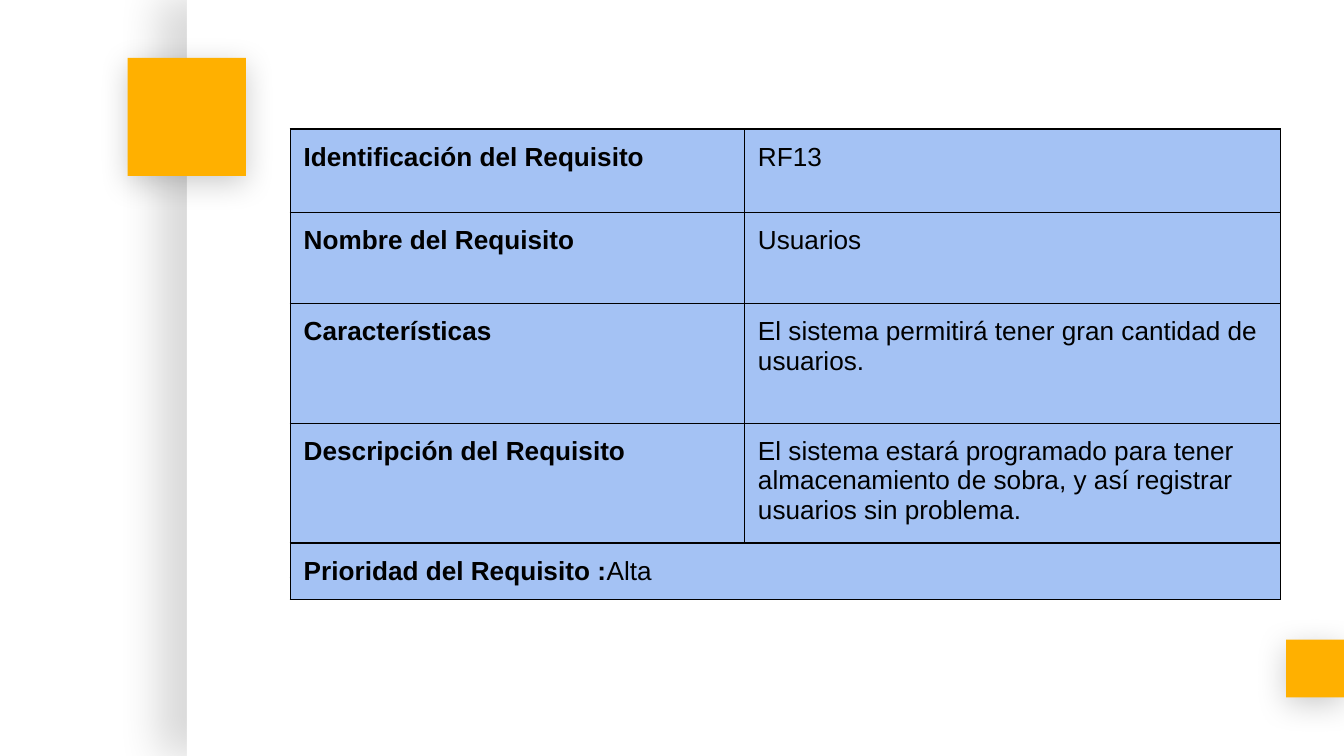
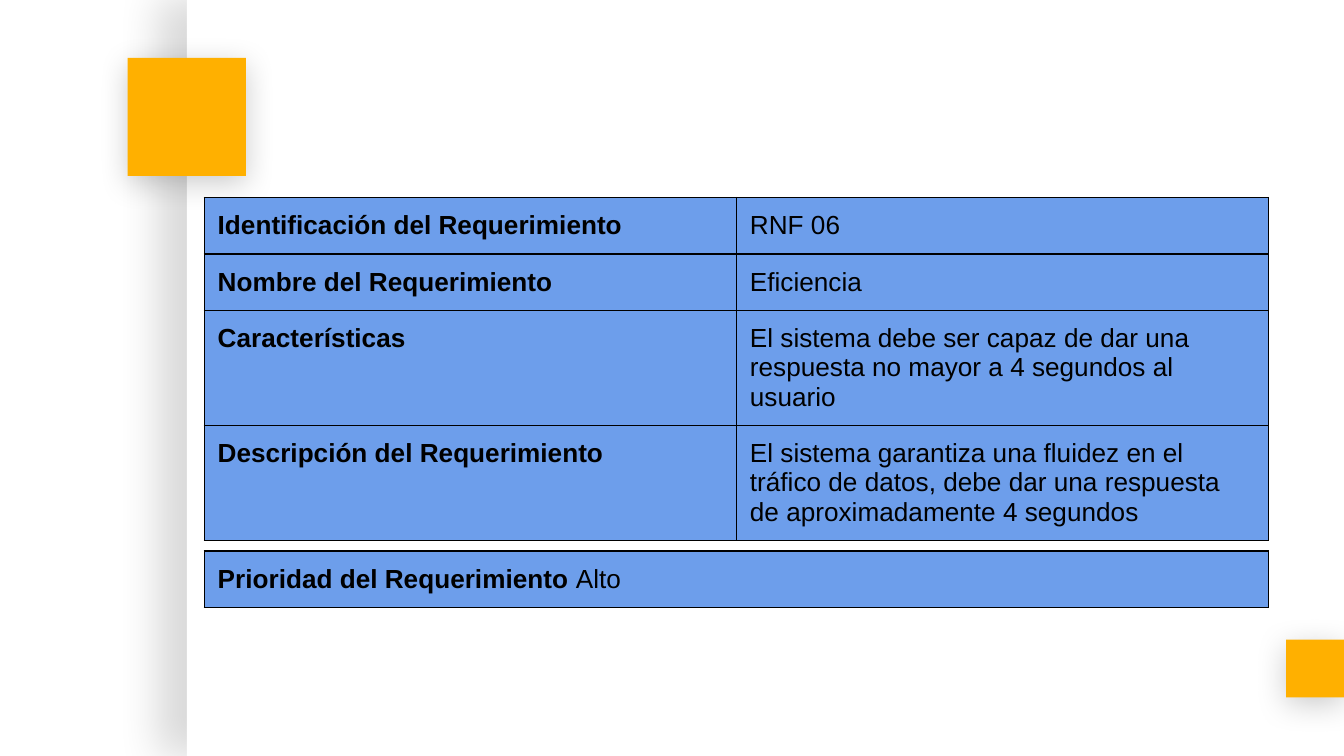
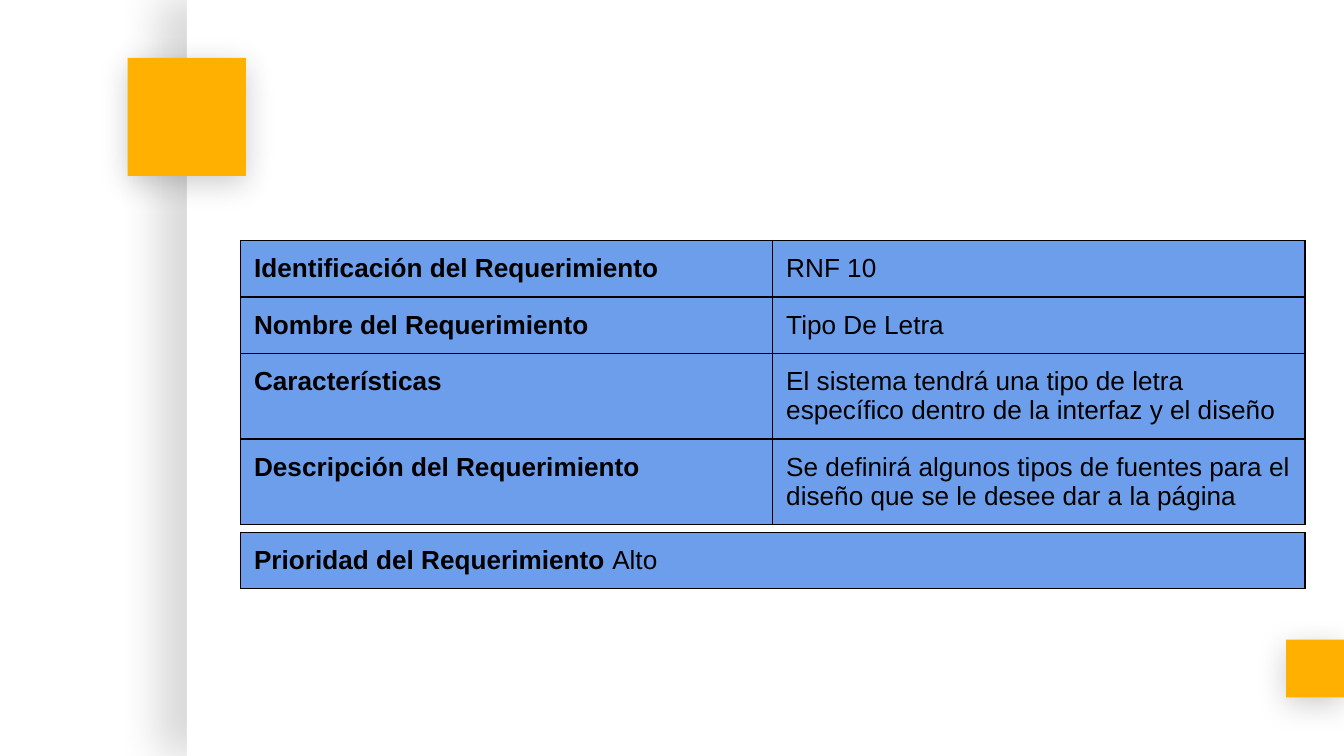
from dataclasses import dataclass

from lxml import etree
from pptx import Presentation
from pptx.dml.color import RGBColor
from pptx.enum.shapes import MSO_SHAPE
from pptx.oxml.ns import qn
from pptx.util import Inches, Pt

RECT = MSO_SHAPE.RECTANGLE
BLANK_LAYOUT = 6
SLIDE_W = 10
SLIDE_H = SLIDE_W * 9 / 16


@dataclass(frozen=True)
class Theme:
    paper: str = "FFFFFF"
    accent: str = "FFB000"
    ink: str = "000000"
    functional: str = "A4C2F4"
    nonfunctional: str = "6D9EEB"
    font: str = "Arial"
    size: float = 14
    border: float = 0.75
    inset: float = 0.1
    # opacity %, blur pt, distance pt, direction in degrees
    panel_shadow: tuple = (15, 22.5, 15, 180)
    square_shadow: tuple = (20, 16.9, 3.8, 90)


def add_color(parent, color, opacity=100):
    clr = etree.SubElement(parent, qn("a:srgbClr"), val=color)
    if opacity < 100:
        etree.SubElement(clr, qn("a:alpha"), val=str(opacity * 1000))


class Deck:
    def __init__(self, theme):
        self.theme = theme
        self.prs = Presentation()
        self.prs.slide_width = Inches(SLIDE_W)
        self.prs.slide_height = Inches(SLIDE_H)
        self.layout = self.prs.slide_layouts[BLANK_LAYOUT]
        self.s = None

    def new_slide(self):
        self.s = self.prs.slides.add_slide(self.layout)

    def decorate_layout(self):
        """Move the shared panel and squares from the current slide to its layout."""
        t = self.theme
        for ph in list(self.layout.placeholders):
            ph.element.getparent().remove(ph.element)
        for box, color, shadow in (
            ((1.39, 0, SLIDE_W - 1.39, SLIDE_H), t.paper, t.panel_shadow),
            ((9.57, 4.76, 0.43, 0.43), t.accent, t.square_shadow),
            ((0.95, 0.43, 0.88, 0.88), t.accent, t.square_shadow),
        ):
            sp = self.rect(box, color, shadow)
            self.layout.shapes.element.append(sp.element)

    def rect(self, box, color, shadow):
        sp = self.s.shapes.add_shape(RECT, *map(Inches, box))
        sp.fill.solid()
        sp.fill.fore_color.rgb = RGBColor.from_string(color)
        sp.line.fill.background()
        sp.shadow.inherit = False
        opacity, blur, dist, angle = shadow
        effects = sp.element.spPr.find(qn("a:effectLst"))
        outer = etree.SubElement(
            effects, qn("a:outerShdw"), blurRad=str(Pt(blur)), dist=str(Pt(dist)),
            dir=str(angle * 60000), algn="bl", rotWithShape="0")
        add_color(outer, self.theme.ink, opacity)
        return sp

    def table(self, left, top, cols, heights, rows, fill):
        """Each cell is a list of (text, bold) runs."""
        frame = self.s.shapes.add_table(
            len(rows), len(cols), Inches(left), Inches(top),
            Inches(sum(cols)), Inches(sum(heights)))
        tbl = frame.table
        tbl.first_row = tbl.horz_banding = False
        for column, width in zip(tbl.columns, cols):
            column.width = Inches(width)
        for row, height, contents in zip(tbl.rows, heights, rows):
            row.height = Inches(height)
            for cell, runs in zip(row.cells, contents):
                self.cell(cell, runs, fill)

    def cell(self, cell, runs, fill):
        t = self.theme
        cell.fill.solid()
        cell.fill.fore_color.rgb = RGBColor.from_string(fill)
        cell.margin_left = cell.margin_right = Inches(t.inset)
        cell.margin_top = cell.margin_bottom = Inches(t.inset)
        tcPr = cell._tc.get_or_add_tcPr()
        for i, side in enumerate("LRTB"):
            ln = etree.Element(qn(f"a:ln{side}"), w=str(Pt(t.border)))
            add_color(etree.SubElement(ln, qn("a:solidFill")), t.ink)
            tcPr.insert(i, ln)
        p = cell.text_frame.paragraphs[0]
        for text, bold in runs:
            r = p.add_run()
            r.text = text
            r.font.name, r.font.size, r.font.bold = t.font, Pt(t.size), bold
            r.font.color.rgb = RGBColor.from_string(t.ink)

    def requirement(self, noun, left, top, cols, heights, values,
                    priority, priority_top, priority_height, fill):
        """Sheet of four labelled rows with a separate full-width priority row."""
        labels = (f"Identificación del {noun}", f"Nombre del {noun}",
                  "Características", f"Descripción del {noun}")
        rows = [([(label, True)], [(value, False)])
                for label, value in zip(labels, values)]
        self.table(left, top, cols, heights, rows, fill)
        label, value = priority
        runs = [(f"Prioridad del {noun} {label}", True), (value, False)]
        self.table(left, priority_top, [sum(cols)], [priority_height], [[runs]], fill)

    def nonfunctional(self, left, top, priority_top, values):
        self.requirement("Requerimiento", left, top, (3.96, 3.96), (0.42,) * 4, values,
                         ("", "Alto"), priority_top, 0.42, self.theme.nonfunctional)


def main():
    theme = Theme()
    deck = Deck(theme)

    deck.new_slide()
    deck.decorate_layout()
    deck.requirement(
        "Requisito", 2.16, 0.96, (3.38, 3.99), (0.62, 0.68, 0.89, 1.15),
        ("RF13", "Usuarios",
         "El sistema permitirá tener gran cantidad de usuarios.",
         "El sistema estará programado para tener almacenamiento de sobra, "
         "y así registrar usuarios sin problema."),
        (":", "Alta"), 4.04, 0.37, theme.functional)

    deck.new_slide()
    deck.nonfunctional(1.52, 1.47, 4.1, (
        "RNF 06", "Eficiencia",
        "El sistema debe ser capaz de dar una respuesta no mayor a 4 segundos al usuario",
        "El sistema garantiza una fluidez en el tráfico de datos, "
        "debe dar una respuesta de aproximadamente 4 segundos"))

    deck.new_slide()
    deck.nonfunctional(1.79, 1.79, 3.96, (
        "RNF 10", "Tipo De Letra",
        "El sistema tendrá una tipo de letra específico dentro de la interfaz y el diseño",
        "Se definirá algunos tipos de fuentes para el diseño que se le desee dar a la página"))

    deck.prs.save("out.pptx")


if __name__ == "__main__":
    main()
